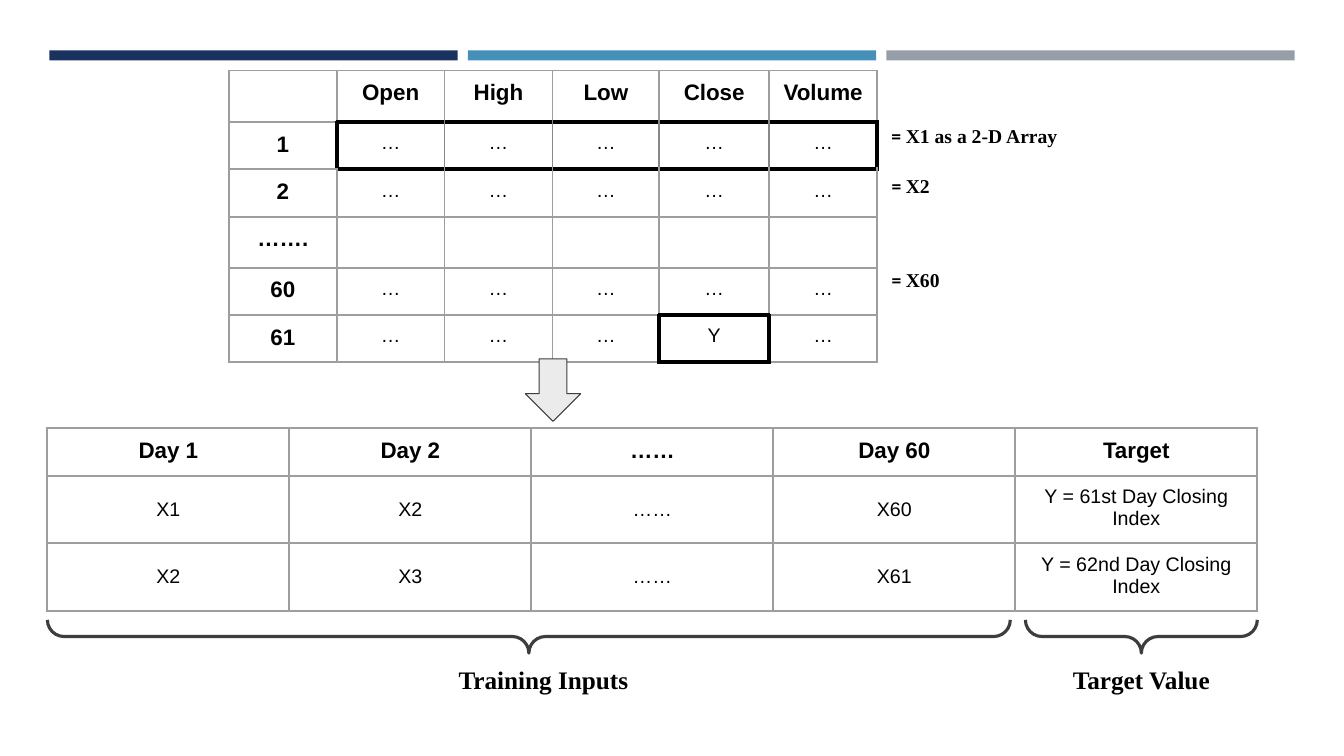
from lxml import etree
from pptx import Presentation
from pptx.dml.color import RGBColor
from pptx.enum.shapes import MSO_SHAPE as Shape
from pptx.enum.text import MSO_ANCHOR as Anchor, MSO_AUTO_SIZE as AutoSize, PP_ALIGN as Align
from pptx.oxml.ns import qn
from pptx.util import Inches, Pt

BLACK = RGBColor(0x00, 0x00, 0x00)
NAVY = RGBColor(0x1A, 0x32, 0x60)
BLUE = RGBColor(0x45, 0x90, 0xB8)
SILVER = RGBColor(0x96, 0x9F, 0xA7)
GRID = RGBColor(0x9E, 0x9E, 0x9E)
INNER_GRID = RGBColor(0x88, 0x88, 0x88)
DARK = RGBColor(0x3D, 0x3D, 0x3D)
PALE = RGBColor(0xEB, 0xEB, 0xEB)

SERIF = "Times New Roman"
HEADING = {"name": "Arial", "size": Pt(16), "bold": True}
BODY = {"name": "Arial", "size": Pt(14), "bold": False}
CAPTION = {"name": SERIF, "size": Pt(18), "bold": True}
NOTE = {"name": SERIF, "size": Pt(14), "bold": True}
NOTE_SIGN = NOTE | {"name": "Calibri"}

SIDES = ("lnL", "lnR", "lnT", "lnB")
INSET = Inches(0.1)
DOTS = "…"

PRICE_ROWS = [
    ["", "Open", "High", "Low", "Close", "Volume"],
    ["1"] + [DOTS] * 5,
    ["2"] + [DOTS] * 5,
    ["……."] + [""] * 5,
    ["60"] + [DOTS] * 5,
    ["61", DOTS, DOTS, DOTS, "Y", DOTS],
]
SAMPLE_ROWS = [
    ["Day 1", "Day 2", "……", "Day 60", "Target"],
    ["X1", "X2", "……", "X60", "Y = 61st Day Closing Index"],
    ["X2", "X3", "……", "X61", "Y = 62nd Day Closing Index"],
]


def add_run(paragraph, text, style):
    run = paragraph.add_run()
    run.text = text
    for name, value in style.items():
        setattr(run.font, name, value)
    run.font.color.rgb = BLACK


def set_insets(target):
    for side in ("left", "right", "top", "bottom"):
        setattr(target, f"margin_{side}", INSET)


def add_borders(cell):
    properties = cell._tc.get_or_add_tcPr()
    for side in SIDES:
        line = etree.SubElement(properties, qn(f"a:{side}"), w=str(Pt(1.5)))
        fill = etree.SubElement(line, qn("a:solidFill"))
        etree.SubElement(fill, qn("a:srgbClr"), val=str(GRID))


def restyle_border(cell, side, color, width):
    line = cell._tc.tcPr.find(qn(f"a:{side}"))
    line.set("w", str(Pt(width)))
    line.find(".//" + qn("a:srgbClr")).set("val", str(color))


def outline_cells(table, row, first, last):
    """Frame part of a row in heavy black, on both sides of each shared edge."""
    for column in range(first, last + 1):
        cell = table.cell(row, column)
        restyle_border(cell, "lnT", BLACK, 3)
        restyle_border(cell, "lnB", BLACK, 3)
        restyle_border(table.cell(row - 1, column), "lnB", BLACK, 3)
        if row + 1 < len(table.rows):
            restyle_border(table.cell(row + 1, column), "lnT", BLACK, 3)
        for side, edge in (("lnL", first), ("lnR", last)):
            color, width = (BLACK, 3) if column == edge else (INNER_GRID, 1.5)
            restyle_border(cell, side, color, width)
    restyle_border(table.cell(row, first - 1), "lnR", BLACK, 3)
    if last + 1 < len(table.columns):
        restyle_border(table.cell(row, last + 1), "lnL", BLACK, 3)


def add_grid(slide, left, top, widths, heights, rows, is_heading, is_middle):
    table = slide.shapes.add_table(
        len(heights), len(widths), Inches(left), Inches(top),
        Inches(sum(widths)), Inches(sum(heights))).table
    table.first_row = table.horz_banding = False
    for column, width in zip(table.columns, widths):
        column.width = Inches(width)
    for row, height in zip(table.rows, heights):
        row.height = Inches(height)
    for r, texts in enumerate(rows):
        for c, text in enumerate(texts):
            cell = table.cell(r, c)
            add_borders(cell)
            cell.fill.background()
            set_insets(cell)
            cell.vertical_anchor = Anchor.MIDDLE if is_middle(r, c) else Anchor.TOP
            if text:
                paragraph = cell.text_frame.paragraphs[0]
                paragraph.alignment = Align.CENTER
                add_run(paragraph, text, HEADING if is_heading(r, c) else BODY)
    return table


def add_label(slide, left, top, width, height, runs, alignment):
    box = slide.shapes.add_textbox(*map(Inches, (left, top, width, height)))
    frame = box.text_frame
    frame.word_wrap = True
    frame.auto_size = AutoSize.SHAPE_TO_FIT_TEXT
    set_insets(frame)
    paragraph = frame.paragraphs[0]
    paragraph.alignment = alignment
    for text, style in runs:
        add_run(paragraph, text, style)


def add_figure(slide, kind, left, top, width, height, fill=None, line=None, line_width=0):
    shape = slide.shapes.add_shape(kind, *map(Inches, (left, top, width, height)))
    shape.shadow.inherit = False
    if fill is None:
        shape.fill.background()
    else:
        shape.fill.solid()
        shape.fill.fore_color.rgb = fill
    if line is None:
        shape.line.fill.background()
    else:
        shape.line.color.rgb = line
        shape.line.width = Pt(line_width)
    return shape


def add_header_bars(slide, left, top, width, gap):
    for index, color in enumerate((NAVY, BLUE, SILVER)):
        add_figure(slide, Shape.RECTANGLE, left + index * (width + gap), top, width, 0.1, color)


def add_price_table(slide, left, top):
    widths = [1.07, 1.07, 1.07, 1.06, 1.09, 1.07]
    heights = [0.51, 0.47, 0.47, 0.49, 0.47, 0.47]
    table = add_grid(slide, left, top, widths, heights, PRICE_ROWS,
                     lambda r, c: r == 0 or c == 0, lambda r, c: False)
    outline_cells(table, 1, 1, 5)
    outline_cells(table, 5, 4, 4)
    for text, offset, width in (("X1 as a 2-D Array", 0.43, 2.36),
                                ("X2", 0.93, 0.99), ("X60", 1.86, 0.99)):
        add_label(slide, left + sum(widths), top + offset, width, 0.44,
                  [(" = ", NOTE_SIGN), (text, NOTE)], Align.LEFT)


def add_sample_table(slide, left, top):
    add_grid(slide, left, top, [2.4] * 5, [0.47, 0.67, 0.67], SAMPLE_ROWS,
             lambda r, c: r == 0, lambda r, c: r > 0 and c < 4)


def add_brace(slide, left, top, width, caption, caption_left):
    """Brace opening upward across the given width, with a caption below."""
    depth = 0.33
    shape = add_figure(slide, Shape.RIGHT_BRACE, left + (width - depth) / 2,
                       top + (depth - width) / 2, depth, width, None, DARK, 2.25)
    shape.rotation = 90
    for index in range(2):
        shape.adjustments[index] = 0.5
    add_label(slide, caption_left, top + 0.34, 2.66, 0.5, [(caption, CAPTION)], Align.CENTER)


def main():
    presentation = Presentation()
    presentation.slide_width = Inches(13.33)
    presentation.slide_height = Inches(7.5)
    slide = presentation.slides.add_slide(presentation.slide_layouts[6])
    add_header_bars(slide, 0.49, 0.5, 4.05, 0.1)
    add_price_table(slide, 2.27, 0.7)
    add_sample_table(slide, 0.47, 4.25)
    add_figure(slide, Shape.DOWN_ARROW, 5.21, 3.56, 0.55, 0.62, PALE, DARK, 0.75)
    add_brace(slide, 0.47, 6.15, 9.55, "Training Inputs", 4.06)
    add_brace(slide, 10.17, 6.15, 2.3, "Target Value", 9.99)
    presentation.save("out.pptx")


if __name__ == "__main__":
    main()
